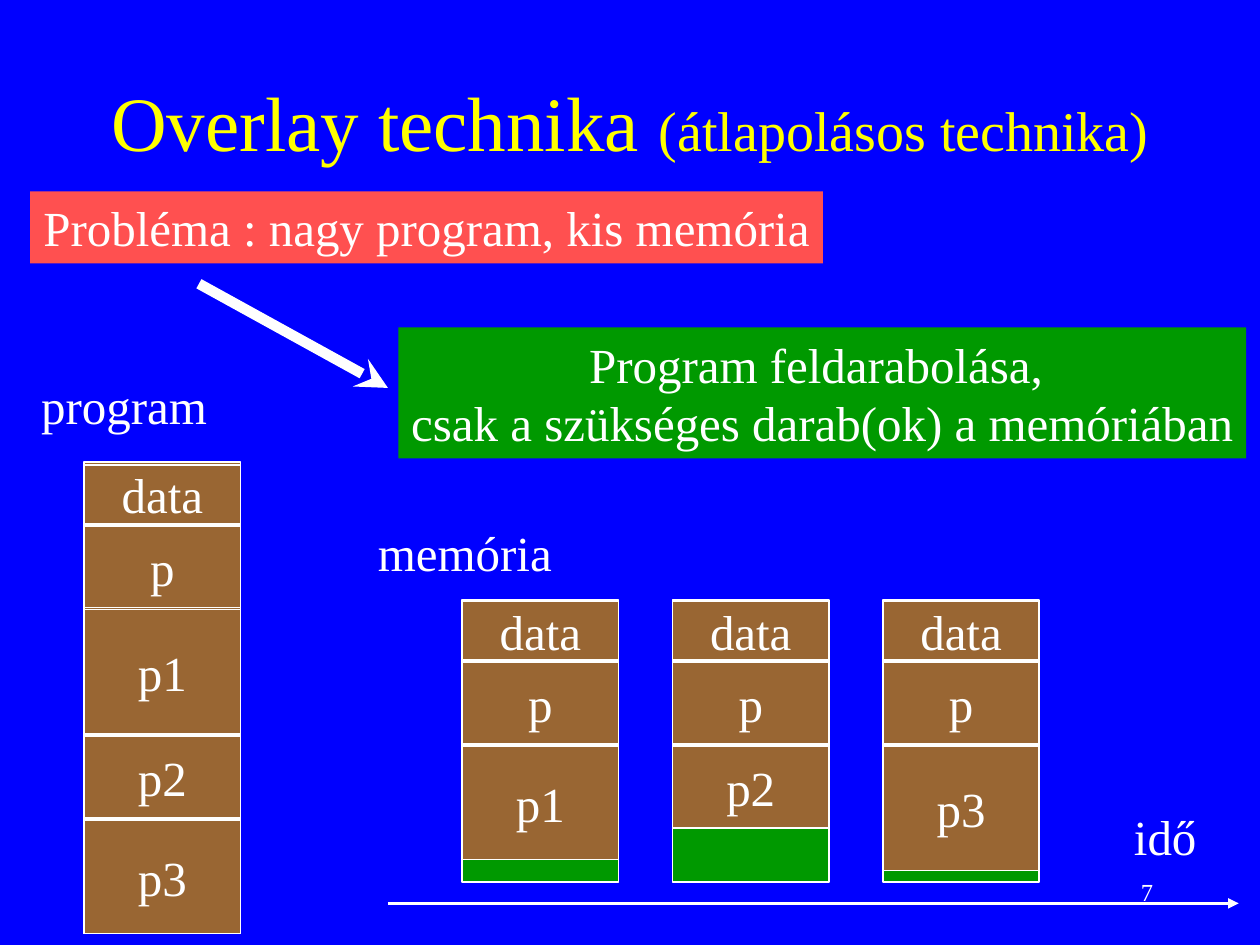
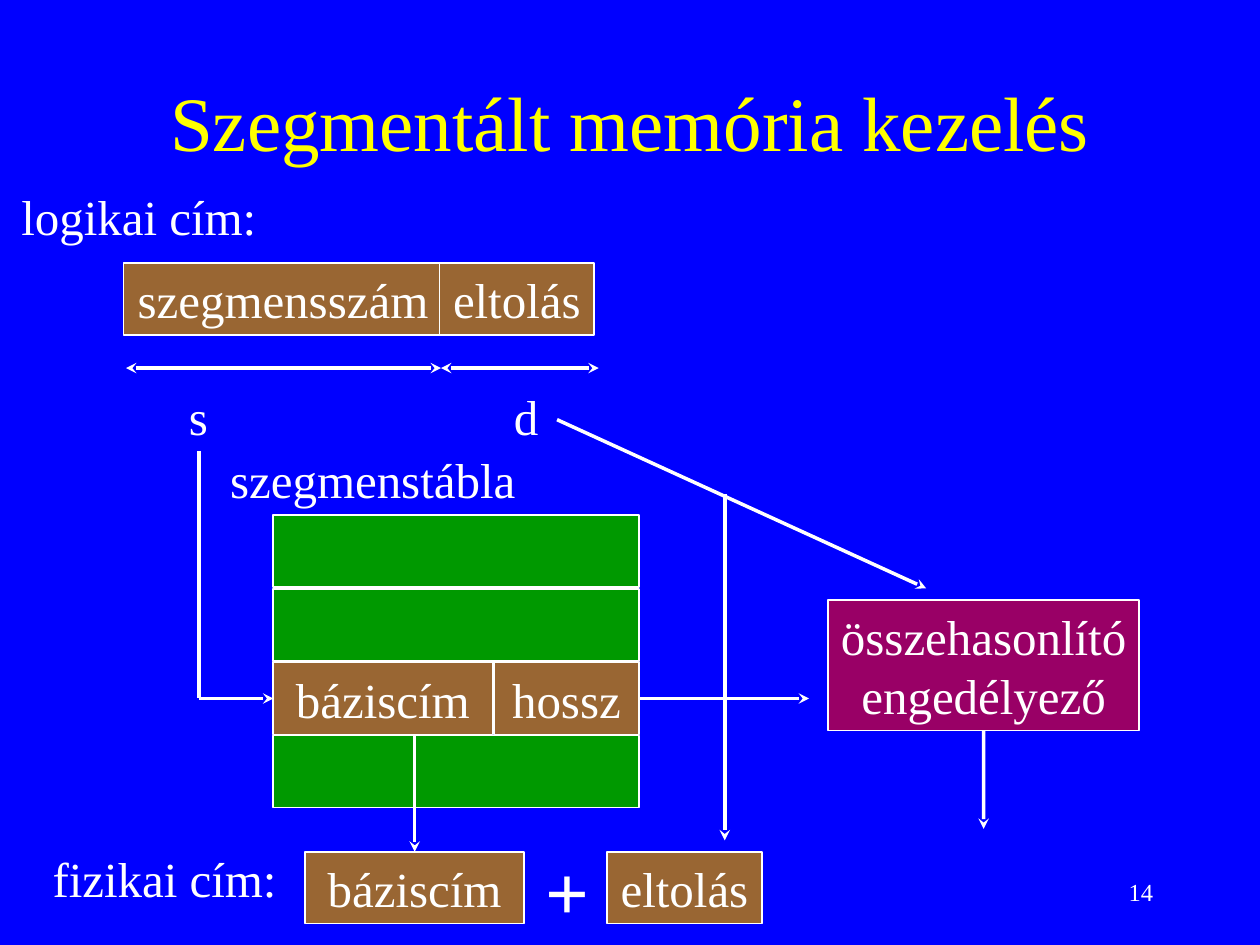
"""Builds two slides on memory handling: overlays and segmentation."""
from lxml import etree
from pptx import Presentation
from pptx import util as u
from pptx.dml.color import RGBColor
from pptx.enum import shapes, text
from pptx.oxml import ns

HUES = {"back": "0000FF", "head": "FFFF00", "ink": "FFFFFF", "alert": "FF5050",
        "free": "009900", "used": "996633", "check": "990066"}
FONT = "Times New Roman"
LEFT, MID, RIGHT = (text.PP_ALIGN.LEFT, text.PP_ALIGN.CENTER,
                    text.PP_ALIGN.RIGHT)
ROW = 1.45
PITCH = 1.48
GAP = 0.04
BAR = 3.15

OVERLAY = {
    "title": [("Overlay technika ", 44), ("(átlapolásos technika)", 32)],
    "page": "7",
    "boxes": {
        "problem": (["Probléma : nagy program, kis memória"],
                    (0.61, 3.86, 15.98, ROW), "alert", False),
        "plan": (["Program feldarabolása, ",
                  "csak a szükséges darab(ok) a memóriában"],
                 (8.03, 6.6, 17.09, 2.64), "free", False),
    },
    "notes": [("program", (0.58, 7.44, 3.86, ROW), 28, False),
              ("memória", (7.37, 10.41, 4.01, ROW), 28, False),
              ("idő", (22.61, 16.13, 1.78, ROW), 28, False)],
    "lines": [((4.01, 5.72), (7.82, 7.82), "", "stealth", 6),
              ((7.82, 18.21), (24.97, 18.21), "", "triangle", 2)],
}
PARTS = [("data", 1.19), ("p", 1.65)]
PROGRAM = PARTS + [("p1", 2.51), ("p2", 1.65), ("p3", 2.29)]
LOADS = [("p1", 2.29), ("p2", 1.65), ("p3", 2.51)]

SEGMENT = {
    "title": [("Szegmentált memória kezelés", 44)],
    "page": "14",
    "boxes": {
        "number": (["szegmensszám"], (2.49, 5.31, 6.43, ROW), "used", True),
        "shift": (["eltolás"], (8.86, 5.31, 3.12, ROW), "used", True),
        "base": (["báziscím"], (5.51, 13.35, 4.42, 1.46), "used", True),
        "length": (["hossz"], (9.96, 13.35, 2.92, 1.46), "used", True),
        "check": (["összehasonlító", "engedélyező"],
                  (16.69, 12.09, 6.28, 2.64), "check", True),
        "start": (["báziscím"], (6.15, 17.17, 4.42, ROW), "used", True),
        "offset": (["eltolás"], (12.24, 17.17, 3.12, ROW), "used", True),
    },
    "notes": [("logikai cím:", (0.18, 3.63, 5.26, ROW), 28, False),
              ("s", (3.56, 7.67, 0.89, ROW), 28, False),
              ("d", (10.11, 7.67, 1.02, ROW), 28, False),
              ("szegmenstábla", (4.39, 8.94, 6.27, ROW), 28, False),
              ("fizikai cím:", (0.81, 16.97, 5.03, ROW), 28, False),
              ("+", (10.74, 16.89, 1.4, 2.11), 44, True)],
    "lines": [((2.54, 7.42), (8.89, 7.42), "stealth", "stealth", 2),
              ((8.89, 7.42), (12.07, 7.42), "stealth", "stealth", 2),
              ((11.23, 8.46), (18.67, 11.86), "", "stealth", 2),
              ((4.01, 9.09), (4.01, 14.08), "", "", 2),
              ((4.01, 14.08), ("base", 1), "", "stealth", 2),
              (("length", 3), (16.31, 14.08), "", "stealth", 2),
              ((8.36, 14.81), ("start", 0), "", "stealth", 2),
              ((14.61, 9.96), (14.61, 16.94), "", "stealth", 2),
              (("check", 2), (19.83, 16.71), "", "stealth", 2)],
}
FREE = [0, 1, 3]


def tint(name):
    return RGBColor.from_string(HUES[name])


def place(at):
    return [u.Cm(n) for n in at]


def write(shape, rows, align=MID, hue="ink", bold=False, wrap=False):
    frame = shape.text_frame
    look = {"word_wrap": wrap, "auto_size": text.MSO_AUTO_SIZE.NONE,
            "vertical_anchor": text.MSO_ANCHOR.MIDDLE}
    for key, val in look.items():
        setattr(frame, key, val)
    for i, row in enumerate(rows):
        para = frame.add_paragraph() if i else frame.paragraphs[0]
        para.alignment = align
        for words, size in row:
            run = para.add_run()
            run.text = words
            style = {"name": FONT, "size": u.Pt(size), "bold": bold}
            for key, val in style.items():
                setattr(run.font, key, val)
            run.font.color.rgb = tint(hue)


def box(slide, rows, at, hue, edge=True):
    shape = slide.shapes.add_shape(shapes.MSO_SHAPE.RECTANGLE, *place(at))
    shape.shadow.inherit = False
    shape.fill.solid()
    shape.fill.fore_color.rgb = tint(hue)
    if edge:
        shape.line.color.rgb = tint("ink")
        shape.line.width = u.Pt(1)
    else:
        shape.line.fill.background()
    write(shape, [[(row, 28)] for row in rows])
    return shape


def note(slide, words, at, size, bold=False, align=LEFT, wrap=False):
    shape = slide.shapes.add_textbox(*place(at))
    write(shape, [[(words, size)]], align, bold=bold, wrap=wrap)


def link(slide, made, start, end, head, tail, width):
    spots = [(0, 0) if p[0] in made else p for p in (start, end)]
    line = slide.shapes.add_connector(shapes.MSO_CONNECTOR.STRAIGHT,
                                      *place(spots[0] + spots[1]))
    for point, join in ((start, line.begin_connect), (end, line.end_connect)):
        if point[0] in made:
            join(made[point[0]], point[1])
    line.line.color.rgb = tint("ink")
    line.line.width = u.Pt(width)
    pen = line.line._get_or_add_ln()
    for tag, kind in (("a:headEnd", head), ("a:tailEnd", tail)):
        if kind:
            etree.SubElement(pen, ns.qn(tag), type=kind)
    etree.SubElement(line._element.spPr, ns.qn("a:effectLst"))


def stack(slide, parts, left, top):
    for name, high in parts:
        box(slide, [name], (left, top, BAR, high), "used")
        top += high + GAP


def bars(slide):
    box(slide, [], (1.7, 9.32, BAR, 9.5), "used")
    stack(slide, PROGRAM, 1.7, 9.37)
    for i, load in enumerate(LOADS):
        left = 9.32 + i * 4.24
        box(slide, [], (left, 12.09, BAR, 5.69), "free")
        stack(slide, PARTS + [load], left, 12.12)


def rows(slide):
    for i in FREE:
        box(slide, [], (5.51, 10.39 + i * PITCH, 7.37, ROW), "free")


def build(deck, data, extra):
    slide = deck.slides.add_slide(deck.slide_layouts[5])
    title = slide.shapes.title
    spot = place((1.91, 0.84, 21.59, 3.18))
    for key, val in zip(("left", "top", "width", "height"), spot):
        setattr(title, key, val)
    write(title, [data["title"]], hue="head", wrap=True)
    extra(slide)
    made = {key: box(slide, *item) for key, item in data["boxes"].items()}
    for item in data["notes"]:
        note(slide, *item)
    for item in data["lines"]:
        link(slide, made, *item)
    note(slide, data["page"], (18.21, 17.35, 5.29, 1.27), 14, align=RIGHT,
         wrap=True)


def main():
    deck = Presentation()
    deck.slide_width, deck.slide_height = place((25.4, 19.05))
    fill = deck.slide_master.background.fill
    fill.solid()
    fill.fore_color.rgb = tint("back")
    build(deck, OVERLAY, bars)
    build(deck, SEGMENT, rows)
    deck.save("out.pptx")


if __name__ == "__main__":
    main()
